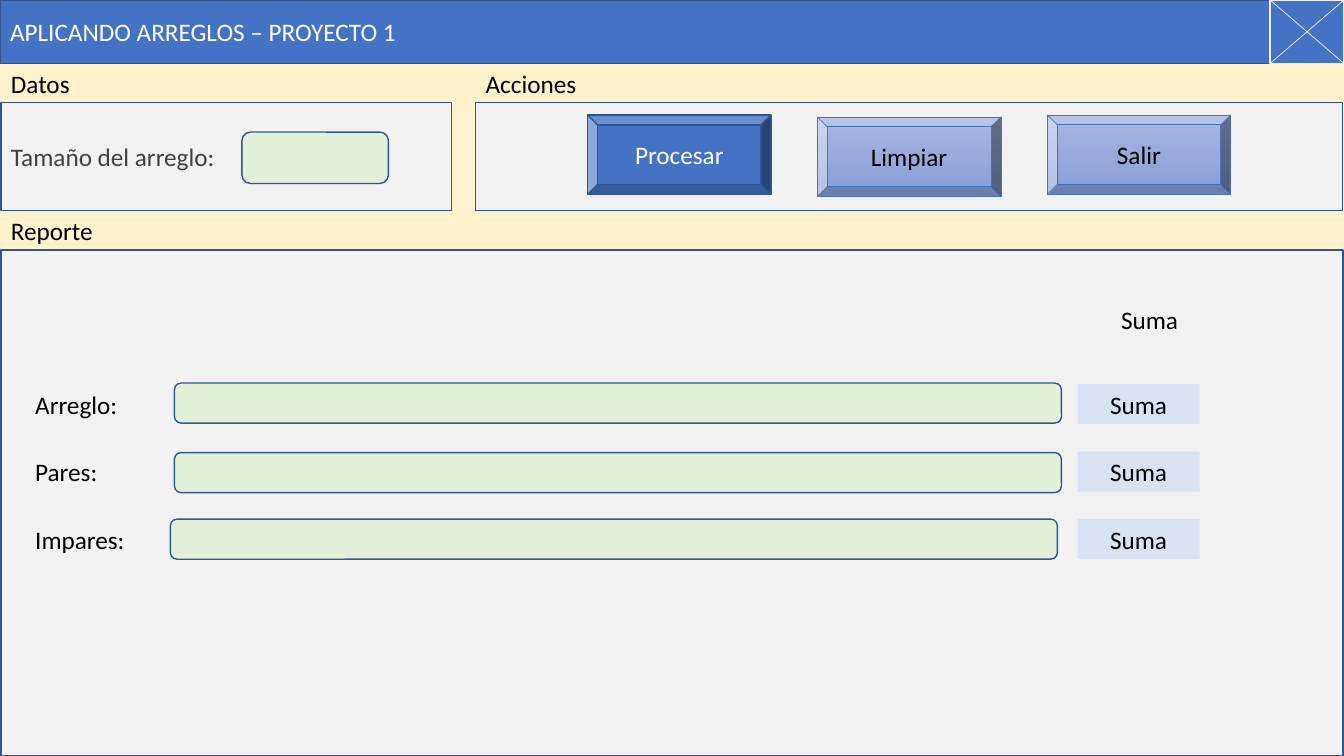
from lxml.etree import SubElement
from pptx import Presentation
from pptx.dml.color import RGBColor
from pptx.enum.shapes import MSO_CONNECTOR as Connector, MSO_SHAPE as Shape
from pptx.enum.text import MSO_ANCHOR as Anchor, MSO_AUTO_SIZE as AutoSize, PP_ALIGN as Align
from pptx.oxml.ns import qn
from pptx.util import Inches, Pt

BLUE, NAVY, PALE_BLUE = "4472C4", "325491", "DAE3F3"
GRAY, GREEN, CREAM = "F2F2F2", "E2F0D9", "FFF2CC"
BLACK, CHARCOAL, WHITE = "000000", "404040", "FFFFFF"
SOFT_BLUES = ("A8B7DF", "889ED7")


def color(hex_code):
    return RGBColor.from_string(hex_code)


class Window:
    """Places styled elements; lengths are percentages of the slide's size."""

    font_name, font_size = "Calibri", Pt(18)

    def __init__(self, presentation):
        self.width, self.height = presentation.slide_width, presentation.slide_height
        self.slide = presentation.slides.add_slide(presentation.slide_layouts[5])
        background = self.slide.background.fill
        background.solid()
        background.fore_color.rgb = color(CREAM)

    def box(self, left, top, width, height):
        return (round(left * self.width / 100), round(top * self.height / 100),
                round(width * self.width / 100), round(height * self.height / 100))

    def paint(self, shape, fill, line, line_width=1):
        if isinstance(fill, tuple):
            shape.fill.gradient()
            shape.fill.gradient_angle = 270
            for stop, shade in zip(shape.fill.gradient_stops, fill):
                stop.color.rgb = color(shade)
        else:
            shape.fill.solid()
            shape.fill.fore_color.rgb = color(fill)
        if line:
            shape.line.color.rgb = color(line)
            shape.line.width = Pt(line_width)
        else:
            shape.line.fill.background()

    def caption(self, shape, text, ink=BLACK, align=Align.LEFT, anchor=Anchor.MIDDLE):
        frame = shape.text_frame
        frame.text = text
        frame.word_wrap = True
        frame.auto_size = AutoSize.NONE
        frame.vertical_anchor = anchor
        paragraph = frame.paragraphs[0]
        paragraph.alignment = align
        paragraph.font.name, paragraph.font.size = self.font_name, self.font_size
        paragraph.font.color.rgb = color(ink)

    def title(self, text, *place):
        shape = self.slide.shapes.title
        shape.left, shape.top, shape.width, shape.height = self.box(*place)
        self.paint(shape, BLUE, NAVY)
        self.caption(shape, text, WHITE)

    def shape(self, kind, *place, fill=GRAY, line=NAVY, line_width=1):
        shape = self.slide.shapes.add_shape(kind, *self.box(*place))
        shape.shadow.inherit = False
        self.paint(shape, fill, line, line_width)
        return shape

    def panel(self, *place):
        return self.shape(Shape.RECTANGLE, *place)

    def field(self, *place):
        return self.shape(Shape.ROUNDED_RECTANGLE, *place, fill=GREEN)

    def button(self, text, *place, fill=SOFT_BLUES, line=BLUE, line_width=0.5, ink=BLACK):
        shape = self.shape(Shape.BEVEL, *place, fill=fill, line=line, line_width=line_width)
        self.caption(shape, text, ink, Align.CENTER)

    def label(self, text, *place, align=Align.LEFT):
        shape = self.slide.shapes.add_textbox(*self.box(*place))
        self.caption(shape, text, align=align, anchor=Anchor.TOP)

    def total(self, text, *place):
        shape = self.shape(Shape.RECTANGLE, *place, fill=PALE_BLUE, line=None)
        self.caption(shape, text, align=Align.CENTER, anchor=Anchor.TOP)

    def close_box(self, *place):
        self.shape(Shape.RECTANGLE, *place, fill=BLUE, line=GRAY)
        left, top, width, height = self.box(*place)
        right, bottom = left + width, top + height
        for start, end in ((left, right), (right, left)):
            stroke = self.slide.shapes.add_connector(
                Connector.STRAIGHT, start, bottom, end, top)
            stroke.line.color.rgb = color(GRAY)
            stroke.line.width = Pt(0.5)
            SubElement(stroke.element.spPr, qn("a:effectLst"))


presentation = Presentation()
presentation.slide_width, presentation.slide_height = Inches(13.33), Inches(7.5)
window = Window(presentation)

BAR = 8.4
LABEL = 5.3
EDGE = 0.08
PANEL_TOP, PANEL_HEIGHT = 13.6, 14.27

# Title bar
window.title("APLICANDO ARREGLOS – PROYECTO 1", 0, 0, 100, BAR)
window.close_box(94.5, 0, 5.5, BAR)

# Data section
data_panel = window.panel(EDGE, PANEL_TOP, 33.5, PANEL_HEIGHT)
window.caption(data_panel, "Tamaño del arreglo:", CHARCOAL)
window.label("Datos", EDGE, BAR, 33.5, LABEL)
window.field(18, 17.47, 10.9, 6.8)

# Actions section
ACTIONS_LEFT = 35.4
window.panel(ACTIONS_LEFT, PANEL_TOP, 64.5, PANEL_HEIGHT)
window.label("Acciones", ACTIONS_LEFT, BAR, 33.5, LABEL)
primary = dict(fill=BLUE, line=NAVY, line_width=1, ink=WHITE)
buttons = (("Procesar", 15.2, primary), ("Limpiar", 15.47, {}), ("Salir", 15.2, {}))
for column, (text, top, style) in enumerate(buttons):
    window.button(text, 43.72 + 17.1 * column, top, 13.65, 10.53, **style)

# Report section
window.panel(EDGE, 33.07, 99.84, 66.93)
window.label("Reporte", EDGE, 27.87, 33.5, LABEL)
window.label("Suma", 81, 39.6, 9.07, LABEL, align=Align.CENTER)
report_rows = (("Arreglo:", 12.98, 50.67), ("Pares:", 12.98, 59.87), ("Impares:", 12.68, 68.67))
for row, (text, field_left, field_top) in enumerate(report_rows):
    top = 50.8 + 8.93 * row
    window.label(text, 1.88, top, 9.07, LABEL)
    window.field(field_left, field_top, 66, LABEL)
    window.total("Suma", 80.18, top, 9.07, LABEL)

presentation.save("out.pptx")
